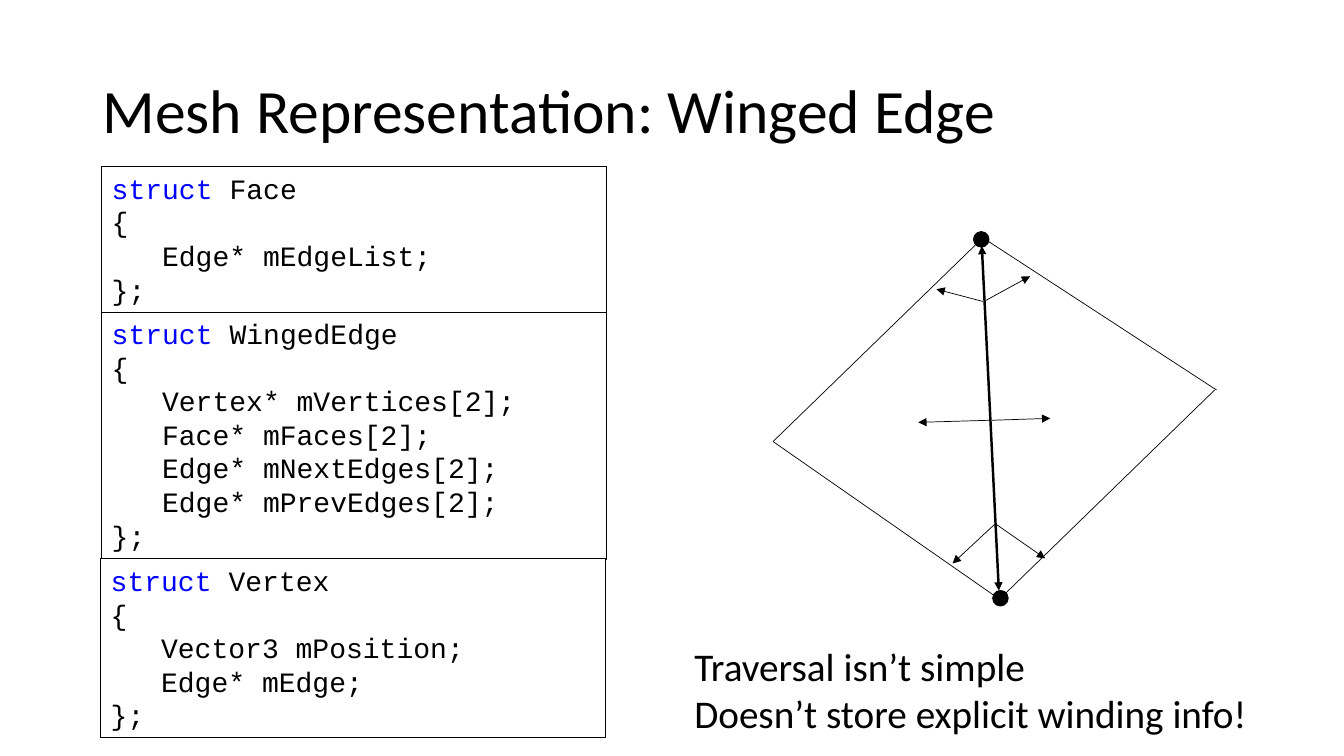
"""Build the winged edge slide: three code boxes, a mesh sketch and a remark."""
from dataclasses import dataclass

from lxml.etree import SubElement
from pptx import Presentation
from pptx.dml.color import RGBColor
from pptx.enum.shapes import MSO_CONNECTOR, MSO_SHAPE
from pptx.enum.text import MSO_ANCHOR, PP_ALIGN
from pptx.oxml.ns import qn
from pptx.util import Pt

BLACK, BLUE, WHITE = "000000", "0000FF", "FFFFFF"
TAB = Pt(36)
DOT = 10.8


@dataclass
class Line:
    x1: float
    y1: float
    x2: float
    y2: float
    ends: tuple = ()
    width: float = 0.5


@dataclass
class Code:
    name: str
    fields: list
    left: float
    top: float
    high: float


TAIL = ("tailEnd",)
LINES = [
    Line(701.3, 175.7, 713.5, 421.9, ("headEnd", "tailEnd"), 1.75),
    Line(552.2, 315.4, 713.5, 427.7),
    Line(705, 167, 552.2, 315.4),
    Line(697.7, 167, 869, 278.6),
    Line(867.6, 278.6, 715, 427),
    Line(702, 215.3, 668.9, 206.6, TAIL),
    Line(704.2, 214.6, 735.8, 197.3, TAIL),
    Line(711.4, 374.4, 746.6, 398.9, TAIL),
    Line(710.6, 374.4, 680.4, 402.5, TAIL),
    Line(707, 300.2, 655.9, 301.7, TAIL),
    Line(708.5, 300.2, 750.2, 298.8, TAIL),
]
DOTS = [(695.5, 165.6), (709.2, 421.9)]
CODES = [
    Code("WingedEdge", ["Vertex* mVertices[2];", "Face* mFaces[2];",
                        "Edge* mNextEdges[2];", "Edge* mPrevEdges[2];"],
         72.7, 222.5, 177.1),
    Code("Face", ["Edge* mEdgeList;"], 72.7, 118.8, 104.4),
    Code("Vertex", ["Vector3 mPosition;", "Edge* mEdge;"], 72, 398.9, 128.2),
]


def color(code: str) -> RGBColor:
    """Turn a hex string into a colour."""
    return RGBColor.from_string(code)


def style(run, face: str, size: float, code: str = BLACK) -> None:
    """Set the font of one run."""
    run.font.name = face
    run.font.size = Pt(size)
    run.font.color.rgb = color(code)


def add_line(slide, line: Line) -> None:
    """Draw a line with its arrowheads."""
    item = slide.shapes.add_connector(
        MSO_CONNECTOR.STRAIGHT, Pt(line.x1), Pt(line.y1), Pt(line.x2), Pt(line.y2))
    item.line.color.rgb = color(BLACK)
    item.line.width = Pt(line.width)
    edge = item.line._get_or_add_ln()
    for end in line.ends:
        SubElement(edge, qn(f"a:{end}"), type="triangle")
    SubElement(item._element.spPr, qn("a:effectLst"))


def add_form(slide, kind, box: tuple, fill: str, width: float):
    """Draw a filled shape with a black outline."""
    form = slide.shapes.add_shape(kind, *map(Pt, box))
    form.shadow.inherit = False
    form.fill.solid()
    form.fill.fore_color.rgb = color(fill)
    form.line.color.rgb = color(BLACK)
    form.line.width = Pt(width)
    return form


def add_code(slide, code: Code) -> None:
    """Draw a box that holds one struct."""
    form = add_form(slide, MSO_SHAPE.RECTANGLE,
                    (code.left, code.top, 360.7, code.high), WHITE, 0.75)
    frame = form.text_frame
    frame.word_wrap = True
    frame.vertical_anchor = MSO_ANCHOR.TOP
    rows = ["struct ", "{", *("\t" + field for field in code.fields), "};"]
    frame.text = "\n".join(rows)
    frame.paragraphs[0].add_run().text = code.name
    for para in frame.paragraphs:
        para.alignment = PP_ALIGN.LEFT
        tabs = SubElement(para._p.get_or_add_pPr(), qn("a:tabLst"))
        SubElement(tabs, qn("a:tab"), pos=str(TAB), algn="l")
        for run in para.runs:
            style(run, "Courier New", 20, BLUE if run.text == "struct " else BLACK)


def add_text(slide, text: str, box: tuple, size: float):
    """Add a plain text box and return its frame."""
    frame = slide.shapes.add_textbox(*map(Pt, box)).text_frame
    frame.word_wrap = True
    frame.text = text
    for para in frame.paragraphs:
        style(para.runs[0], "Calibri", size)
    return frame


def main() -> None:
    """Build and save the slide."""
    deck = Presentation()
    deck.slide_width, deck.slide_height = Pt(960), Pt(540)
    slide = deck.slides.add_slide(deck.slide_layouts[6])
    title = add_text(slide, "Mesh Representation: Winged Edge",
                     (66.2, 28.8, 828, 104.4), 44)
    title.vertical_anchor = MSO_ANCHOR.MIDDLE
    title.paragraphs[0].line_spacing = 0.9
    for line in LINES:
        add_line(slide, line)
    for left, top in DOTS:
        add_form(slide, MSO_SHAPE.OVAL, (left, top, DOT, DOT), BLACK, 1)
    for code in CODES:
        add_code(slide, code)
    add_text(slide, "Traversal isn’t simple\nDoesn’t store explicit winding info!",
             (488.9, 455, 429.8, 74.9), 28)
    deck.save("out.pptx")


if __name__ == "__main__":
    main()
